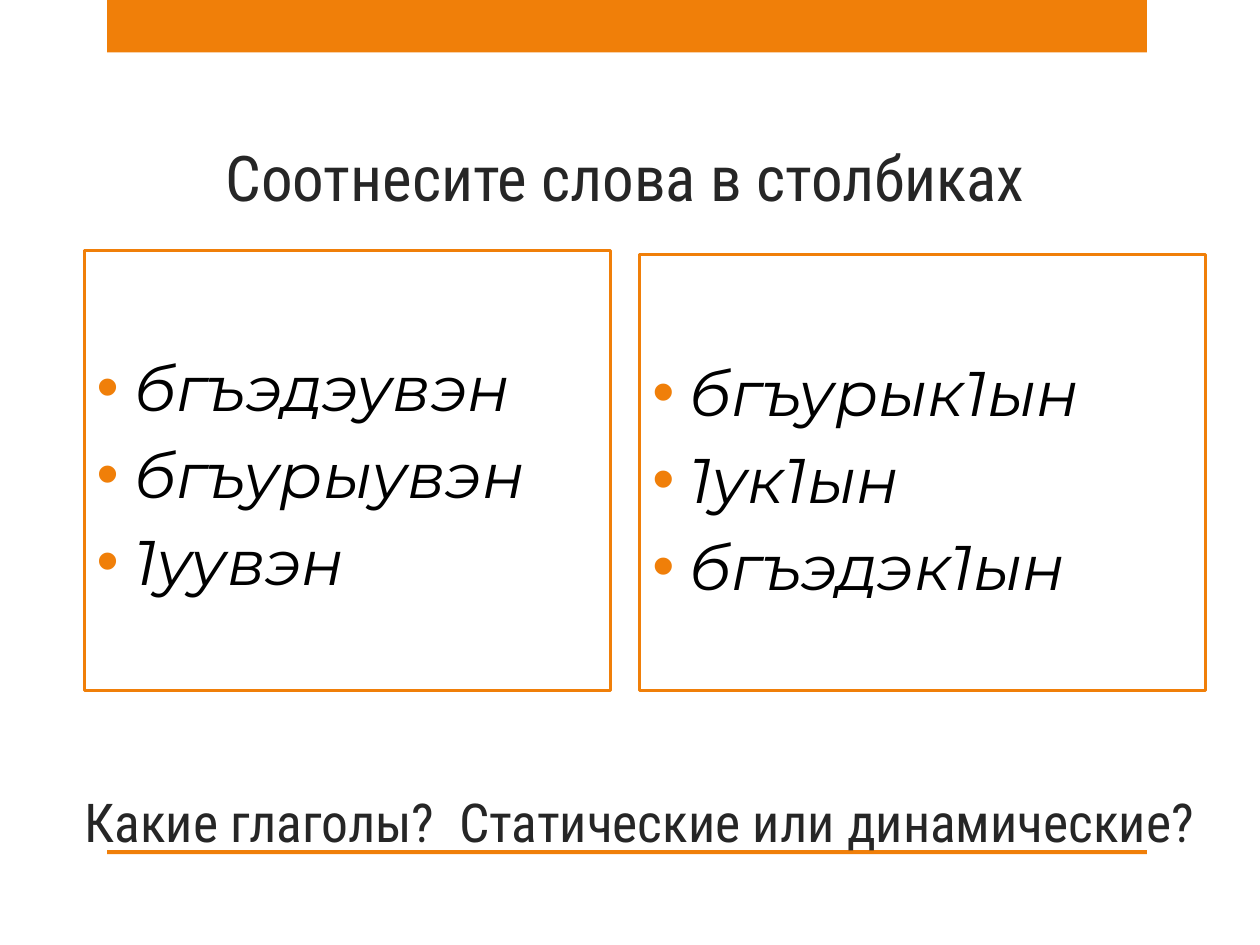
from pptx import Presentation
from pptx.dml.color import RGBColor
from pptx.enum.shapes import MSO_SHAPE
from pptx.enum.text import MSO_ANCHOR, PP_ALIGN
from pptx.oxml import parse_xml
from pptx.oxml.ns import nsdecls
from pptx.util import Cm, Pt

ORANGE = RGBColor(0xF0, 0x7F, 0x09)
WHITE = RGBColor(0xFF, 0xFF, 0xFF)
BLACK = RGBColor(0x00, 0x00, 0x00)
DARK = RGBColor(0x26, 0x26, 0x26)

HEADING_FONT = "Roboto Condensed"
WORD_FONT = "Montserrat"


def add_rect(s, left, top, width, height, fill, line=None):
    sp = s.shapes.add_shape(MSO_SHAPE.RECTANGLE, Cm(left), Cm(top), Cm(width), Cm(height))
    sp.shadow.inherit = False
    sp.fill.solid()
    sp.fill.fore_color.rgb = fill
    if line is None:
        sp.line.fill.background()
    else:
        sp.line.color.rgb = line
        sp.line.width = Pt(1.75)
    return sp


def add_run(p, text, font, size, color, italic=False):
    r = p.add_run()
    r.text = text
    r.font.name = font
    r.font.size = Pt(size)
    r.font.italic = italic
    r.font.color.rgb = color


def add_heading(s, left, top, width, height, text, size):
    tf = s.shapes.add_textbox(Cm(left), Cm(top), Cm(width), Cm(height)).text_frame
    tf.word_wrap = True
    tf.vertical_anchor = MSO_ANCHOR.BOTTOM
    p = tf.paragraphs[0]
    p.alignment = PP_ALIGN.CENTER
    add_run(p, text, HEADING_FONT, size, DARK)


def set_bullet(p):
    pPr = p._p.get_or_add_pPr()
    pPr.set("marL", str(Cm(0.76)))
    pPr.set("indent", str(-Cm(0.76)))
    for xml in (
        f'<a:buClr {nsdecls("a")}><a:srgbClr val="{ORANGE}"/></a:buClr>',
        f'<a:buFont {nsdecls("a")} typeface="Arial"/>',
        f'<a:buChar {nsdecls("a")} char="•"/>',
    ):
        pPr.append(parse_xml(xml))


def add_word_box(s, left, top, width, height, words, inset_top):
    tf = add_rect(s, left, top, width, height, WHITE, ORANGE).text_frame
    tf.word_wrap = True
    tf.vertical_anchor = MSO_ANCHOR.MIDDLE
    tf.margin_top = Cm(inset_top)
    for i, word in enumerate(words):
        p = tf.add_paragraph() if i else tf.paragraphs[0]
        set_bullet(p)
        p.alignment = PP_ALIGN.LEFT
        if i:
            p.space_before = Pt(6.4)
        add_run(p, word, WORD_FONT, 36, BLACK, italic=True)


def main():
    prs = Presentation()
    prs.slide_width, prs.slide_height = Cm(25.4), Cm(19.05)
    s = prs.slides.add_slide(prs.slide_layouts[6])

    # Top band and bottom rule
    for top, height in ((0, 1.06), (17.14, 0.08)):
        add_rect(s, 2.16, top, 20.96, height, ORANGE)

    # Title
    add_heading(s, 0.71, 1.12, 23.8, 3.33, "Соотнесите слова в столбиках", 36)

    # Two columns of words to match
    add_word_box(s, 1.7, 5.05, 10.6, 8.87, ("бгъэдэувэн", "бгъурыувэн", "1уувэн"), 0.25)
    add_word_box(s, 12.9, 5.13, 11.4, 8.79, ("бгъурык1ын", "1ук1ын", "бгъэдэк1ын"), 0.37)

    # Closing question
    add_heading(s, 0.99, 14.86, 23.8, 2.46,
                "Какие глаголы?  Статические или динамические?", 30.6)

    prs.save("out.pptx")


if __name__ == "__main__":
    main()
